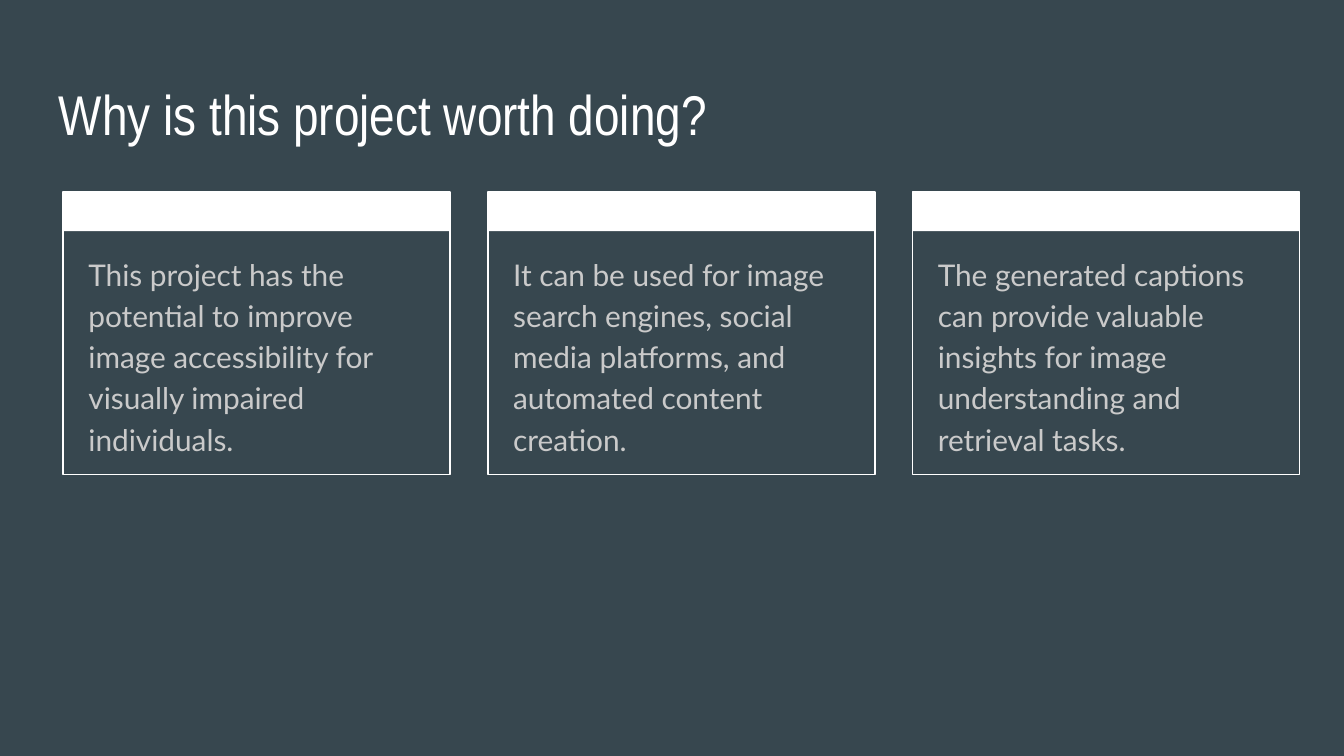
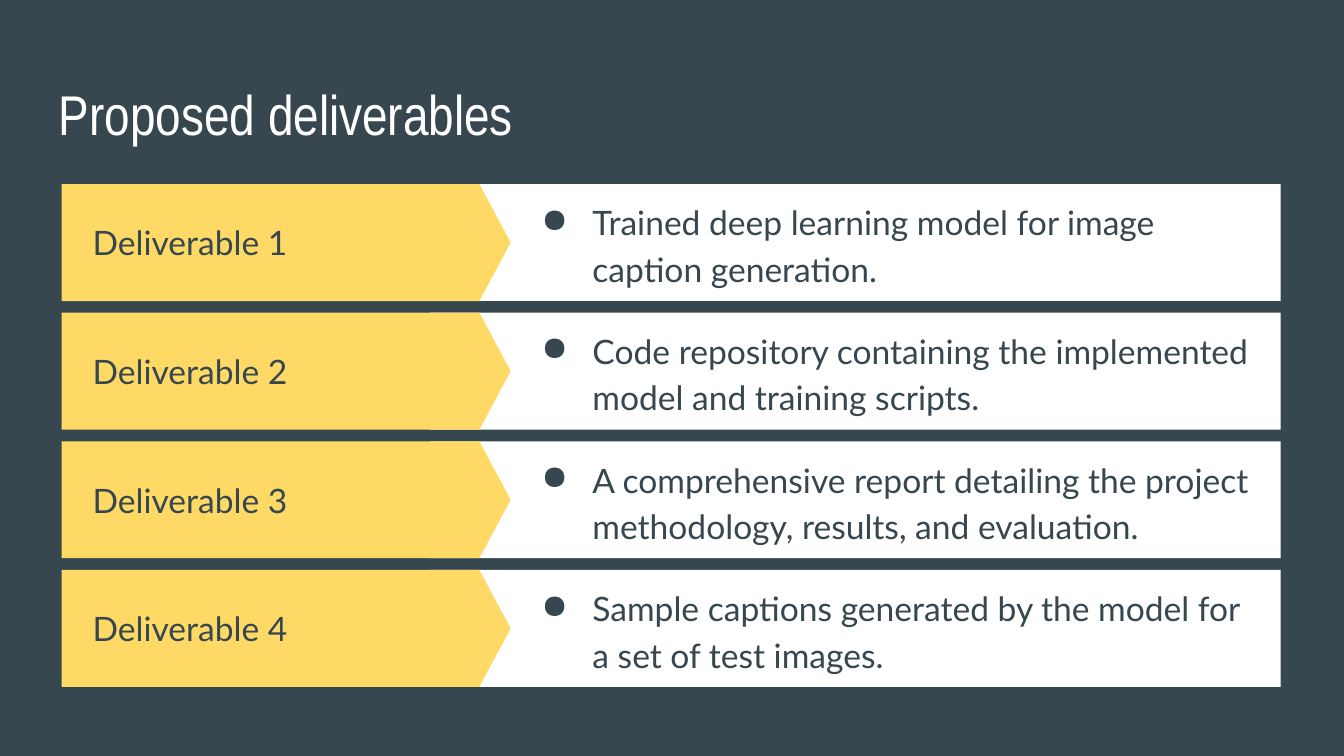
"""Build two slides: why the project is worth doing, and its deliverables."""
import pptx
import pptx.dml.color
import pptx.enum.shapes
import pptx.enum.text
import pptx.oxml
import pptx.oxml.ns
import pptx.util

SLATE, WHITE, GREY, YELLOW = "37474F", "FFFFFF", "CACACA", "FFD966"
BODY_FONT, TITLE_FONT = "Lato", "Arial Narrow"
inches = pptx.util.Inches
hex_color = pptx.dml.color.RGBColor.from_string
kinds = pptx.enum.shapes.MSO_SHAPE
anchors = pptx.enum.text.MSO_ANCHOR


def add_panel(slide, kind, left, top, width, height, fill=None, outline=None):
    panel = slide.shapes.add_shape(kind, inches(left), inches(top), inches(width), inches(height))
    panel.shadow.inherit = False
    if fill:
        panel.fill.solid()
        panel.fill.fore_color.rgb = hex_color(fill)
    else:
        panel.fill.background()
    if outline:
        panel.line.color.rgb = hex_color(outline)
        panel.line.width = pptx.util.Pt(0.75)
    else:
        panel.line.fill.background()
    return panel


def add_text(slide, text, left, top, width, height, size, color,
             font=BODY_FONT, anchor=anchors.TOP, spacing=1.0):
    frame = slide.shapes.add_textbox(inches(left), inches(top), inches(width), inches(height)).text_frame
    frame.word_wrap = True
    frame.vertical_anchor = anchor
    frame.margin_left = frame.margin_right = frame.margin_top = frame.margin_bottom = inches(0.1)
    frame.text = text
    paragraph = frame.paragraphs[0]
    paragraph.line_spacing = spacing
    run = paragraph.runs[0]
    run.font.size = pptx.util.Pt(size)
    run.font.name = font
    run.font.color.rgb = hex_color(color)
    return paragraph


deck = pptx.Presentation()
deck.slide_width, deck.slide_height = inches(10), inches(5.625)
deck.slide_master.background.fill.solid()
deck.slide_master.background.fill.fore_color.rgb = hex_color(SLATE)

titles = ["Why is this project worth doing?", "Proposed deliverables"]
reasons_slide, deliverables_slide = [deck.slides.add_slide(deck.slide_layouts[6]) for _ in titles]
for slide, title in zip([reasons_slide, deliverables_slide], titles):
    add_text(slide, title, 0.34, 0.49, 9.32, 0.63, 30, WHITE, TITLE_FONT)

reasons = [
    "This project has the potential to improve image accessibility for visually impaired individuals.",
    "It can be used for image search engines, social media platforms, and automated content creation.",
    "The generated captions can provide valuable insights for image understanding and retrieval tasks.",
]
card_left, card_top, card_width, card_height, card_pitch = 0.47, 1.43, 2.88, 2.1, 3.16
header_height, text_inset, text_drop = 0.29, 0.09, 0.34
for column, reason in enumerate(reasons):
    left = card_left + column * card_pitch
    add_panel(reasons_slide, kinds.RECTANGLE, left, card_top, card_width, header_height, fill=WHITE)
    add_panel(reasons_slide, kinds.RECTANGLE, left, card_top, card_width, card_height, outline=WHITE)
    add_text(reasons_slide, reason, left + text_inset, card_top + text_drop,
             card_width - 2 * text_inset, card_height - text_drop, 16, GREY, spacing=1.15)

deliverables = [
    "Trained deep learning model for image caption generation.",
    "Code repository containing the implemented model and training scripts.",
    "A comprehensive report detailing the project methodology, results, and evaluation.",
    "Sample captions generated by the model for a set of test images.",
]
first_row, row_height, row_pitch = 1.37, 0.87, 0.957
for row, deliverable in enumerate(deliverables):
    top = first_row + row * row_pitch
    add_panel(deliverables_slide, kinds.RECTANGLE, 3.2, top, 6.33, row_height, fill=WHITE)
    tag = add_panel(deliverables_slide, kinds.PENTAGON, 0.46, top, 3.34, row_height, fill=YELLOW)
    tag.adjustments[0] = 0.267
    add_text(deliverables_slide, f"Deliverable {row + 1}", 0.59, top, 2.65, row_height,
             18, SLATE, anchor=anchors.MIDDLE)
    detail = add_text(deliverables_slide, deliverable, 3.81, top, 5.59, row_height,
                      18, SLATE, anchor=anchors.MIDDLE, spacing=1.15)
    properties = detail._p.get_or_add_pPr()
    properties.set("marL", str(inches(0.5)))
    properties.set("indent", str(inches(-0.38)))
    bullet_color = pptx.oxml.parse_xml(
        f'<a:buClr {pptx.oxml.ns.nsdecls("a")}><a:srgbClr val="{SLATE}"/></a:buClr>')
    bullet = pptx.oxml.parse_xml(f'<a:buChar {pptx.oxml.ns.nsdecls("a")} char="●"/>')
    properties.extend([bullet_color, bullet])

deck.save("out.pptx")
